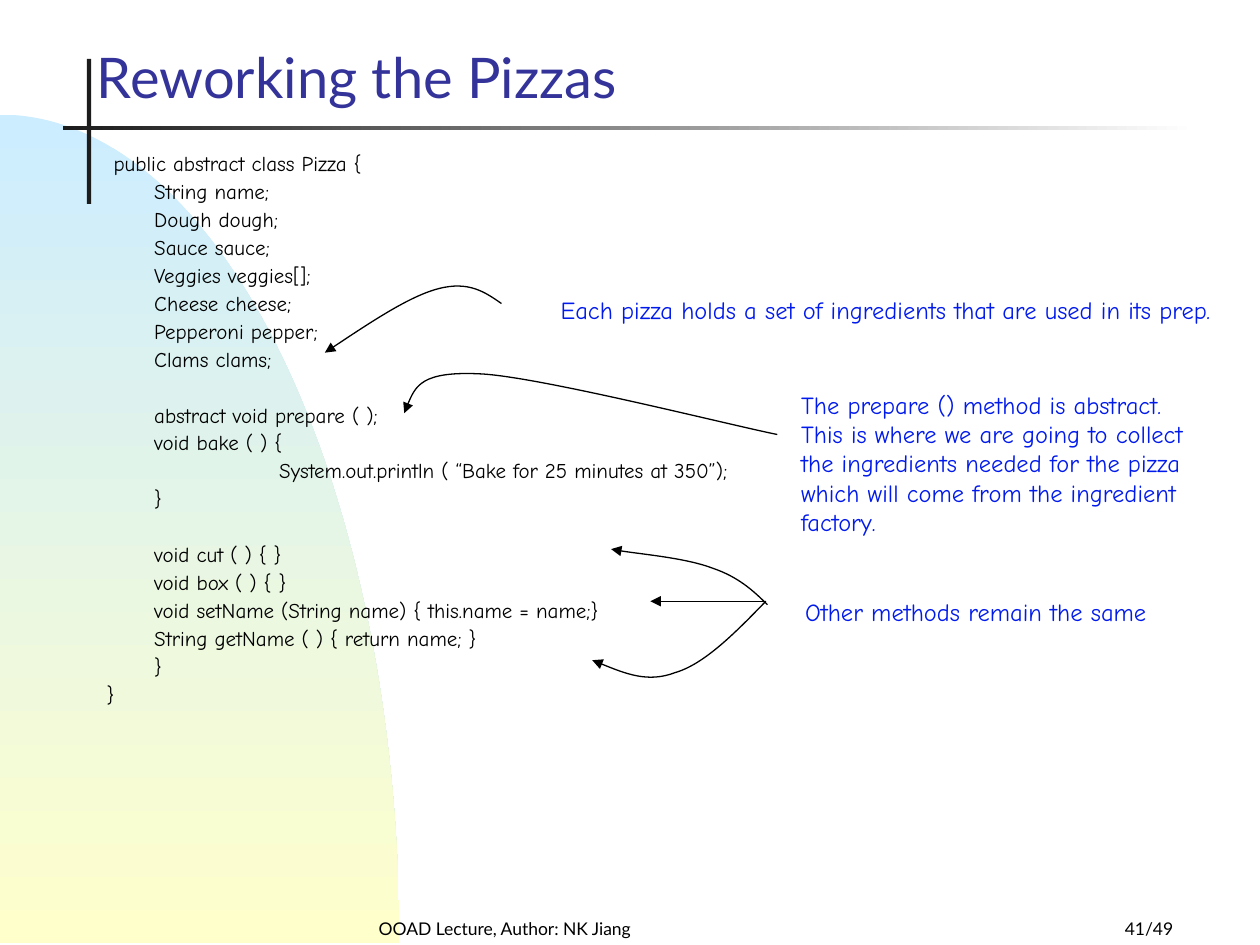
from lxml import etree
from pptx import Presentation
from pptx import util as u
from pptx.dml.color import RGBColor
from pptx.enum import shapes, text
from pptx.oxml.ns import qn

COLORS = {
    "ink": "000000", "bar": "1C1C1C", "title": "333399", "note": "001AEB",
    "sky": "CCECFF", "cream": "FFFFCC", "white": "FFFFFF",
}
CODE_FONT, PLAIN_FONT = "Comic Neue", "Lato"


def add_text(paragraph, words, font, size, color):
    run = paragraph.add_run()
    run.text = words
    run.font.name = font
    run.font.size = u.Pt(size)
    run.font.color.rgb = RGBColor.from_string(COLORS[color])


def add_curve(points, curves, close=False):
    """Draw points in cm; the first `curves` triples after the start are Bezier curves."""
    corners = [(u.Cm(x), u.Cm(y)) for x, y in points]
    builder = slide.shapes.build_freeform(*corners[0])
    builder.add_line_segments(corners[1:], close=close)
    shape = builder.convert_to_shape()
    shape.shadow.inherit = False
    lines = list(shape.element.iter(qn("a:lnTo")))
    for start in range(0, curves * 3, 3):
        bezier = etree.Element(qn("a:cubicBezTo"))
        lines[start].addprevious(bezier)
        for line in lines[start:start + 3]:
            bezier.append(line[0])
            line.getparent().remove(line)
    return shape


presentation = Presentation()
presentation.slide_width, presentation.slide_height = u.Cm(25.4), u.Cm(19.05)
slide = presentation.slides.add_slide(presentation.slide_layouts[5])

# Background arc and the crossed bars
arc = add_curve([(0, 2.31), (4.45, 2.31), (8.05, 9.8), (8.05, 19.02), (0, 19.02)], 1, close=True)
upright = slide.shapes.add_shape(
    shapes.MSO_SHAPE.RECTANGLE, u.Cm(1.75), u.Cm(1.19), u.Cm(0.09), u.Cm(2.92))
rule = slide.shapes.add_shape(
    shapes.MSO_SHAPE.RECTANGLE, u.Cm(1.27), u.Cm(2.54), u.Cm(22.86), u.Cm(0.08))
upright.shadow.inherit = rule.shadow.inherit = False
upright.fill.solid()
upright.fill.fore_color.rgb = RGBColor.from_string(COLORS["bar"])
for shape, angle, stops in ((arc, 270, ("sky", "cream")), (rule, 0, ("bar", "white"))):
    shape.fill.gradient()
    shape.fill.gradient_angle = angle
    for stop, color in zip(shape.fill.gradient_stops, stops):
        stop.color.rgb = RGBColor.from_string(COLORS[color])
for shape in (arc, upright, rule):
    shape.line.fill.background()

# Title
title = slide.shapes.title
title.left, title.top, title.width, title.height = u.Cm(1.7), u.Cm(0.43), u.Cm(17.98), u.Cm(1.91)
title.text_frame.auto_size = text.MSO_AUTO_SIZE.NONE
title.text_frame.vertical_anchor = text.MSO_ANCHOR.BOTTOM
title.text_frame.paragraphs[0].alignment = text.PP_ALIGN.LEFT
add_text(title.text_frame.paragraphs[0], "Reworking the Pizzas", PLAIN_FONT, 32, "title")

# Code: indent level, space before in points, line
INDENTS = (0, 0.96, 3.48)
NEAR, GAP = 3, 19
code_lines = [
    (0, 0, " public abstract class Pizza {"),
    (1, NEAR, "String name;"),
    (1, NEAR, "Dough dough;"),
    (1, NEAR, "Sauce sauce;"),
    (1, NEAR, "Veggies veggies[];"),
    (1, NEAR, "Cheese cheese;"),
    (1, NEAR, "Pepperoni pepper;"),
    (1, NEAR, "Clams clams;"),
    (1, GAP, "abstract void prepare ( );"),
    (1, NEAR, "void bake ( ) {"),
    (2, NEAR, "System.out.println ( “Bake for 25 minutes at 350”);"),
    (1, NEAR, "}"),
    (1, GAP, "void cut ( ) { }"),
    (1, NEAR, "void box ( ) { }"),
    (1, NEAR, "void setName (String name) { this.name = name;}"),
    (1, NEAR, "String getName ( ) { return name; }"),
    (1, NEAR, "}"),
    (0, NEAR, "}"),
]
code = slide.shapes.add_textbox(u.Cm(1.9), u.Cm(2.97), u.Cm(22.43), u.Cm(15.04)).text_frame
code.word_wrap = True
for number, (level, space, line) in enumerate(code_lines):
    paragraph = code.add_paragraph() if number else code.paragraphs[0]
    paragraph.line_spacing = 0.9
    paragraph.space_before = u.Pt(space)
    paragraph._p.get_or_add_pPr().set("marL", str(u.Cm(INDENTS[level])))
    add_text(paragraph, line, CODE_FONT, 12, "ink")

# Notes and footer: box in cm, wrap, anchor, alignment, font, size, colour, words
MIDDLE, BOTTOM = text.MSO_ANCHOR.MIDDLE, text.MSO_ANCHOR.BOTTOM
LEFT, CENTER, RIGHT = text.PP_ALIGN.LEFT, text.PP_ALIGN.CENTER, text.PP_ALIGN.RIGHT
note_style = (MIDDLE, LEFT, CODE_FONT, 14, "note")
labels = [
    ((11.05, 5.82, 13.67, 0.86), False, *note_style,
     "Each pizza holds a set of ingredients that are used in its prep."),
    ((15.9, 7.72, 8.59, 3.23), True, *note_style,
     "The prepare () method is abstract. This is where we are going to collect the "
     "ingredients needed for the pizza which will come from the ingredient factory."),
    ((15.98, 11.91, 7.39, 0.86), False, *note_style, "Other methods remain the same"),
    ((6.15, 18.21, 8.05, 0.84), True, BOTTOM, CENTER, PLAIN_FONT, 10, "ink",
     "OOAD Lecture, Author: NK Jiang"),
    ((18.62, 18.21, 5.28, 0.84), True, BOTTOM, RIGHT, PLAIN_FONT, 10, "ink", "41/49"),
]
for box, wrap, anchor, alignment, font, size, color, words in labels:
    frame = slide.shapes.add_textbox(*(u.Cm(length) for length in box)).text_frame
    frame.word_wrap = wrap
    frame.vertical_anchor = anchor
    frame.paragraphs[0].alignment = alignment
    add_text(frame.paragraphs[0], words, font, size, color)

# Arrows from the notes to the code
arrow_points = [
    [(10.11, 6.12), (9.78, 5.89), (9.45, 5.66), (8.84, 5.82),
     (8.26, 5.97), (7.39, 6.55), (6.55, 7.11)],
    [(15.67, 8.76), (14.68, 8.56), (10.97, 7.62), (9.73, 7.54),
     (8.48, 7.47), (8.31, 7.9), (8.15, 8.33)],
    [(15.47, 12.19), (15.19, 11.91), (14.88, 11.63), (14.38, 11.46),
     (13.84, 11.25), (12.67, 11.15), (12.32, 11.07)],
    [(15.44, 12.12), (14.83, 12.75), (14.2, 13.39), (13.61, 13.56),
     (13.06, 13.77), (12.5, 13.54), (11.94, 13.31)],
]
arrows = [add_curve(points, 2) for points in arrow_points]
for arrow in arrows:
    arrow.fill.background()
straight = slide.shapes.add_connector(
    shapes.MSO_CONNECTOR.STRAIGHT, u.Cm(15.42), u.Cm(12.12), u.Cm(13.11), u.Cm(12.12))
for arrow in arrows + [straight]:
    arrow.line.color.rgb = RGBColor.from_string(COLORS["ink"])
    arrow.line.width = u.Pt(0.75)
    etree.SubElement(arrow.line._get_or_add_ln(), qn("a:tailEnd"), type="triangle")
etree.SubElement(straight.element.spPr, qn("a:effectLst"))

presentation.save("out.pptx")
